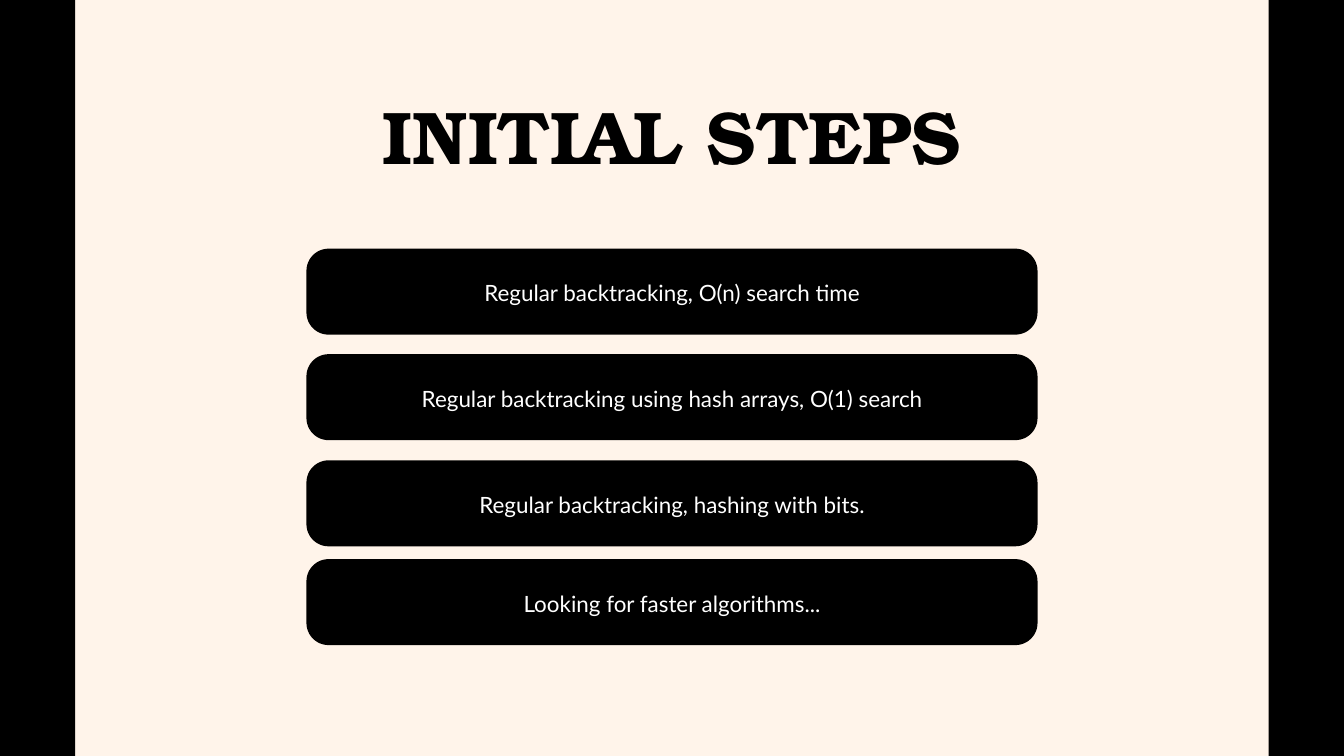
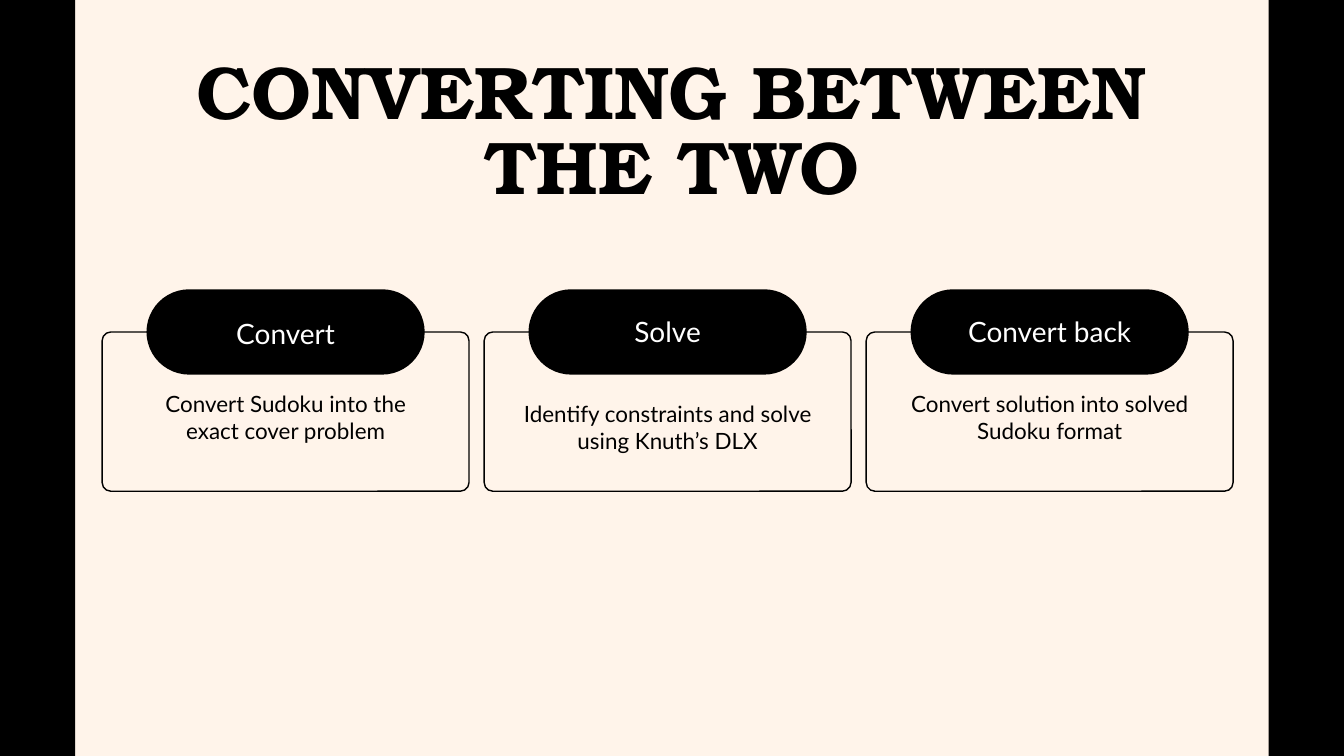
from dataclasses import dataclass

from pptx import Presentation
from pptx.dml.color import RGBColor
from pptx.enum.shapes import MSO_SHAPE
from pptx.enum.text import PP_ALIGN
from pptx.util import Inches, Pt

RECT = MSO_SHAPE.RECTANGLE
ROUNDED = MSO_SHAPE.ROUNDED_RECTANGLE
CENTER = PP_ALIGN.CENTER


@dataclass(frozen=True)
class Theme:
    paper: RGBColor = RGBColor(0xFF, 0xF4, 0xEA)
    black: RGBColor = RGBColor(0, 0, 0)
    white: RGBColor = RGBColor(0xFF, 0xFF, 0xFF)
    title_font: str = "TeX Gyre Bonum"
    body_font: str = "Lato"
    title_size: int = 80
    heading_size: int = 30
    body_size: int = 24


T = Theme()


def add_text(s, text, x, y, w, h, *, size=T.body_size, spacing=33.6,
             font=T.body_font, color=T.black, bold=False):
    """Add centred text; each line of the string is a paragraph."""
    tf = s.shapes.add_textbox(Inches(x), Inches(y), Inches(w), Inches(h)).text_frame
    tf.word_wrap = True
    tf.margin_left = tf.margin_right = tf.margin_top = tf.margin_bottom = 0
    for i, line in enumerate(text.split("\n")):
        p = tf.paragraphs[0] if i == 0 else tf.add_paragraph()
        p.alignment = CENTER
        p.line_spacing = Pt(spacing)
        r = p.add_run()
        r.text = line
        r.font.name = font
        r.font.size = Pt(size)
        r.font.bold = bold
        r.font.color.rgb = color


def add_box(s, kind, x, y, w, h, *, radius=None, outlined=False):
    """Add a solid black shape, or a black outline without fill."""
    sp = s.shapes.add_shape(kind, Inches(x), Inches(y), Inches(w), Inches(h))
    sp.shadow.inherit = False
    if radius is not None:
        sp.adjustments[0] = radius / min(w, h)
    if outlined:
        sp.fill.background()
        sp.line.color.rgb = T.black
        sp.line.width = Pt(1.5)
    else:
        sp.fill.solid()
        sp.fill.fore_color.rgb = T.black
        sp.line.fill.background()


prs = Presentation()
prs.slide_width = Inches(20)
prs.slide_height = Inches(11.25)

# Shared background, side bands and title
titles = [
    ("INITIAL STEPS", 4.14, 1.56, 11.72, 1.42),
    ("CONVERTING BETWEEN\nTHE TWO", 2.25, 0.89, 15.5, 2.52),
]
band_w = 1.12
slides = []
for title, x, y, w, h in titles:
    s = prs.slides.add_slide(prs.slide_layouts[6])
    s.background.fill.solid()
    s.background.fill.fore_color.rgb = T.paper
    for band_x in (0, 20 - band_w):
        add_box(s, RECT, band_x, 0, band_w, 11.25)
    add_text(s, title, x, y, w, h, size=T.title_size, spacing=80,
             font=T.title_font, bold=True)
    slides.append(s)
steps_slide, convert_slide = slides

# Slide 1: stacked steps
steps = [
    (3.7, "Regular backtracking, O(n) search time"),
    (5.27, "Regular backtracking using hash arrays, O(1) search"),
    (6.85, "Regular backtracking, hashing with bits."),
    (8.32, "Looking for faster algorithms..."),
]
for y, text in steps:
    add_box(steps_slide, ROUNDED, 4.56, y, 10.88, 1.28, radius=0.33)
    add_text(steps_slide, text, 5.32, y + 0.39, 9.36, 0.44, color=T.white)

# Slide 2: outlined cards, each with a pill heading on its top edge
card_x, card_y, card_w, card_h, card_pitch = 1.52, 4.94, 5.46, 2.37, 5.685
pill_w, pill_h = 4.14, 1.27
heading_w, body_w = 3.14, 4.3
# heading, its top and line spacing, body, its top
cards = [
    ("Convert", 4.62, 42, "Convert Sudoku into the exact cover problem", 5.81),
    ("Solve", 4.68, 36, "Identify constraints and solve using Knuth’s DLX", 5.95),
    ("Convert back", 4.68, 36, "Convert solution into solved Sudoku format", 5.81),
]
for i, (heading, heading_y, spacing, body, body_y) in enumerate(cards):
    x = card_x + i * card_pitch
    mid = x + card_w / 2
    add_box(convert_slide, ROUNDED, x, card_y, card_w, card_h,
            radius=0.13, outlined=True)
    add_box(convert_slide, ROUNDED, mid - pill_w / 2, card_y - pill_h / 2,
            pill_w, pill_h, radius=pill_h / 2)
    add_text(convert_slide, heading, mid - heading_w / 2, heading_y, heading_w, 0.51,
             size=T.heading_size, spacing=spacing, color=T.white)
    add_text(convert_slide, body, mid - body_w / 2, body_y, body_w, 0.79, spacing=28.8)

prs.save("out.pptx")
